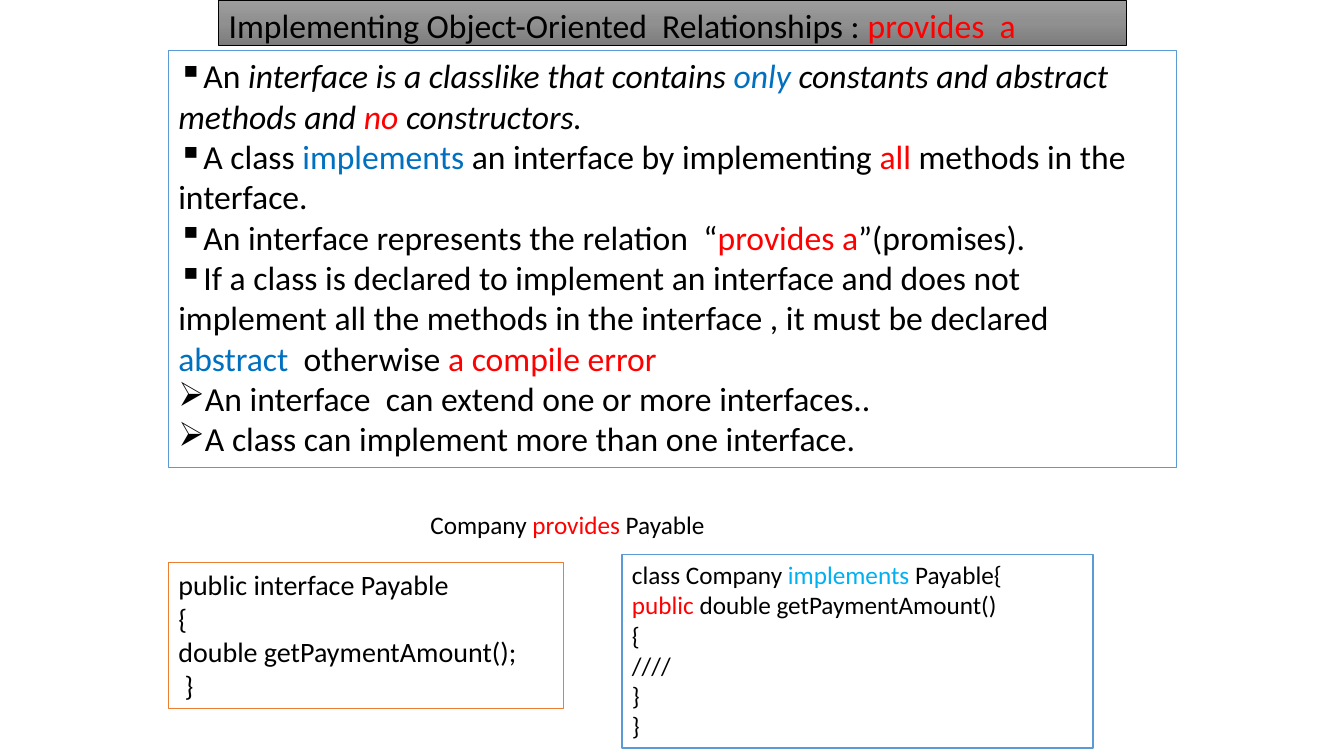
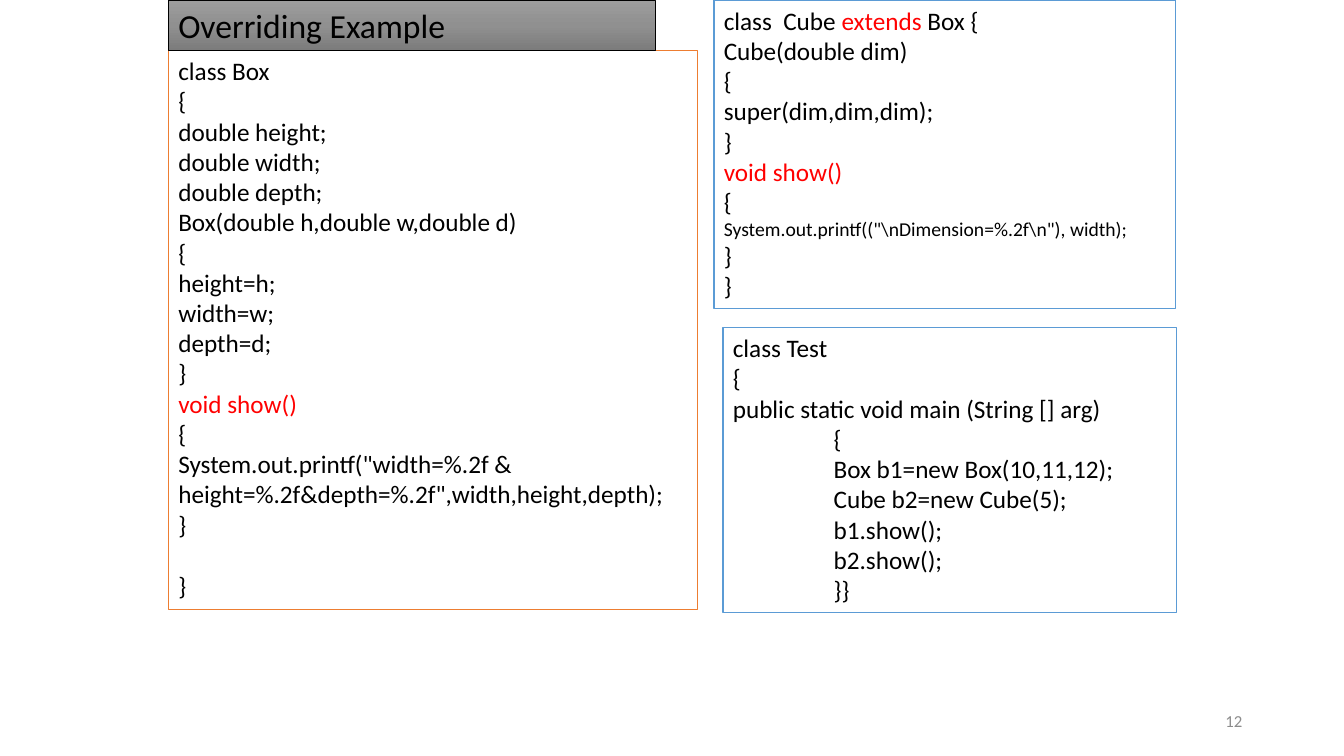
from copy import deepcopy
from dataclasses import dataclass

from lxml import etree
from pptx import Presentation
from pptx.dml.color import RGBColor
from pptx.enum.shapes import MSO_SHAPE
from pptx.enum.text import MSO_ANCHOR, MSO_AUTO_SIZE, PP_ALIGN
from pptx.oxml.ns import qn
from pptx.util import Inches, Pt

RECTANGLE = MSO_SHAPE.RECTANGLE
TOP, MIDDLE = MSO_ANCHOR.TOP, MSO_ANCHOR.MIDDLE
LEFT, RIGHT = PP_ALIGN.LEFT, PP_ALIGN.RIGHT
FIT_SHAPE = MSO_AUTO_SIZE.SHAPE_TO_FIT_TEXT

BLACK = RGBColor(0x00, 0x00, 0x00)
WHITE = RGBColor(0xFF, 0xFF, 0xFF)
RED = RGBColor(0xFF, 0x00, 0x00)
BLUE = RGBColor(0x00, 0x70, 0xC0)
SKY = RGBColor(0x00, 0xB0, 0xF0)
BLUE_BORDER = RGBColor(0x5B, 0x9B, 0xD5)
ORANGE_BORDER = RGBColor(0xED, 0x7D, 0x31)
GREY = RGBColor(0x8C, 0x8C, 0x8C)
TITLE_STOPS = [
    (0, RGBColor(0x9D, 0x9D, 0x9D)),
    (0.5, RGBColor(0x90, 0x90, 0x90)),
    (1, RGBColor(0x7C, 0x7C, 0x7C)),
]

FONT = "Calibri"
TITLE_SIZE = 24
BODY_SIZE = 24
CODE_SIZE = 18
SQUARE, ARROW = "▪", "➢"
MARGIN = 1.67


@dataclass
class Span:
    """A piece of a line with one look."""
    text: str
    colour: RGBColor = BLACK
    italic: bool = False


@dataclass
class Line:
    """A paragraph made of spans."""
    spans: list
    bullet: str = ""
    size: float = 0
    indent: float = 0
    space_before: float = 0


def code(*texts, indent=0):
    """Return plain black lines, one for each text."""
    return [Line([Span(text)], indent=indent) for text in texts]


def write_lines(text_frame, lines, size, align=LEFT):
    """Fill a text frame with formatted lines."""
    text_frame.word_wrap = True
    for number, line in enumerate(lines):
        paragraph = text_frame.paragraphs[0] if number == 0 else text_frame.add_paragraph()
        paragraph.alignment = align
        if line.space_before:
            paragraph.space_before = Pt(line.space_before)
        properties = paragraph._p.get_or_add_pPr()
        if line.indent:
            properties.set("marL", str(Inches(line.indent)))
        if line.bullet:
            etree.SubElement(properties, qn("a:buChar")).set("char", line.bullet)
        for span in line.spans:
            run = paragraph.add_run()
            run.text = span.text
            run.font.name = FONT
            run.font.size = Pt(line.size or size)
            run.font.italic = span.italic
            run.font.color.rgb = span.colour


def add_rectangle(slide, box, border, border_width):
    """Add a flat rectangle whose text starts at its top left."""
    shape = slide.shapes.add_shape(RECTANGLE, *map(Inches, box))
    shape.shadow.inherit = False
    shape.line.color.rgb = border
    shape.line.width = Pt(border_width)
    shape.text_frame.vertical_anchor = TOP
    return shape


def add_panel(slide, box, border, lines, size=CODE_SIZE):
    """Add a white bordered panel of text."""
    panel = add_rectangle(slide, box, border, 1)
    panel.fill.solid()
    panel.fill.fore_color.rgb = WHITE
    write_lines(panel.text_frame, lines, size)
    panel.text_frame.auto_size = FIT_SHAPE


def add_title(slide, box, spans):
    """Add the grey gradient title band."""
    band = add_rectangle(slide, box, BLACK, 0.5)
    band.fill.gradient()
    band.fill.gradient_angle = 270
    stop_list = next(band.element.spPr.iter(qn("a:gsLst")))
    stop_list.insert(1, deepcopy(stop_list[0]))
    for stop, (position, colour) in zip(band.fill.gradient_stops, TITLE_STOPS):
        stop.position = position
        stop.color.rgb = colour
    write_lines(band.text_frame, [Line(spans)], TITLE_SIZE)


def add_label(slide, box, spans, size, align=LEFT, anchor=TOP):
    """Add one line of unboxed text."""
    label = slide.shapes.add_textbox(*map(Inches, box))
    label.text_frame.vertical_anchor = anchor
    write_lines(label.text_frame, [Line(spans)], size, align)


def build_interface_slide(slide):
    """Explain interfaces and show one being implemented."""
    rules = [
        Line([Span("An "),
              Span("interface is a classlike that contains ", italic=True),
              Span("only", BLUE, True),
              Span(" constants and abstract methods and ", italic=True),
              Span("no", RED, True),
              Span(" constructors.", italic=True)], SQUARE),
        Line([Span("A class "), Span("implements", BLUE),
              Span(" an interface by implementing "), Span("all", RED),
              Span(" methods in the interface.")], SQUARE),
        Line([Span("An interface represents the relation  “"),
              Span("provides a", RED), Span("”(promises).")], SQUARE),
        Line([Span("If a class is declared to implement an interface and does not "
                   "implement all the methods in the interface , it must be declared "),
              Span("abstract", BLUE), Span("  otherwise "),
              Span("a compile error", RED)], SQUARE),
        Line([Span("An interface  can extend one or more interfaces..")], ARROW),
        Line([Span("A class can implement more than one interface.")], ARROW),
    ]
    company_class = [
        Line([Span("class Company "), Span("implements", SKY), Span(" Payable{")]),
        Line([Span("public", RED), Span(" double getPaymentAmount()")]),
        *code("{", "////", "}", "}"),
    ]
    payable_interface = code(
        "public interface Payable", "{", "double getPaymentAmount();", " }")

    add_panel(slide, (MARGIN, 0.5, 10, 4.14), BLUE_BORDER, rules, BODY_SIZE)
    add_panel(slide, (6.17, 5.5, 4.67, 1.92), BLUE_BORDER, company_class)
    add_panel(slide, (MARGIN, 5.58, 3.92, 1.45), ORANGE_BORDER, payable_interface, 20)
    add_title(slide, (2.17, 0, 9, 0.45),
              [Span("Implementing Object-Oriented  Relationships : "),
               Span("provides  a", RED)])
    add_label(slide, (4.17, 5, 3.75, 0.4),
              [Span("Company "), Span("provides", RED), Span(" Payable")], CODE_SIZE)


def build_overriding_slide(slide):
    """Show a method overridden in a subclass."""
    show_method = Line([Span("void show()", RED)])
    box_class = [
        *code("class Box", "{", "double height;", "double width;", "double depth;",
              "Box(double h,double w,double d)", "{", "height=h;", "width=w;",
              "depth=d;", "}"),
        show_method,
        *code("{", 'System.out.printf("width=%.2f & '
                   'height=%.2f&depth=%.2f",width,height,depth);', "}"),
        Line([Span("}")], space_before=22),
    ]
    cube_class = [
        Line([Span("class  Cube "), Span("extends", RED), Span(" Box {")]),
        *code("Cube(double dim)", "{", "super(dim,dim,dim);", "}"),
        show_method,
        *code("{"),
        Line([Span(r'System.out.printf(("\nDimension=%.2f\n"), width);')], size=14),
        *code("}", "}"),
    ]
    test_class = [
        *code("class Test", "{", "public static void main (String [] arg)"),
        *code("{", "Box b1=new Box(10,11,12);", "Cube b2=new Cube(5);",
              "b1.show();", "b2.show();", "}}", indent=1),
    ]

    add_label(slide, (9.42, 6.95, 3, 0.4), [Span("12", GREY)], 12, RIGHT, MIDDLE)
    add_panel(slide, (MARGIN, 0.5, 5.25, 5.55), ORANGE_BORDER, box_class)
    add_panel(slide, (7.08, 0, 4.58, 3.06), BLUE_BORDER, cube_class)
    add_panel(slide, (7.17, 3.25, 4.5, 2.83), BLUE_BORDER, test_class)
    add_title(slide, (MARGIN, 0, 4.83, 0.5), [Span("Overriding Example")])


def main():
    """Build and save the presentation."""
    presentation = Presentation()
    presentation.slide_width = Inches(13.33)
    presentation.slide_height = Inches(7.5)
    blank_layout = presentation.slide_layouts[6]
    for build_slide in (build_interface_slide, build_overriding_slide):
        build_slide(presentation.slides.add_slide(blank_layout))
    presentation.save("out.pptx")


main()
